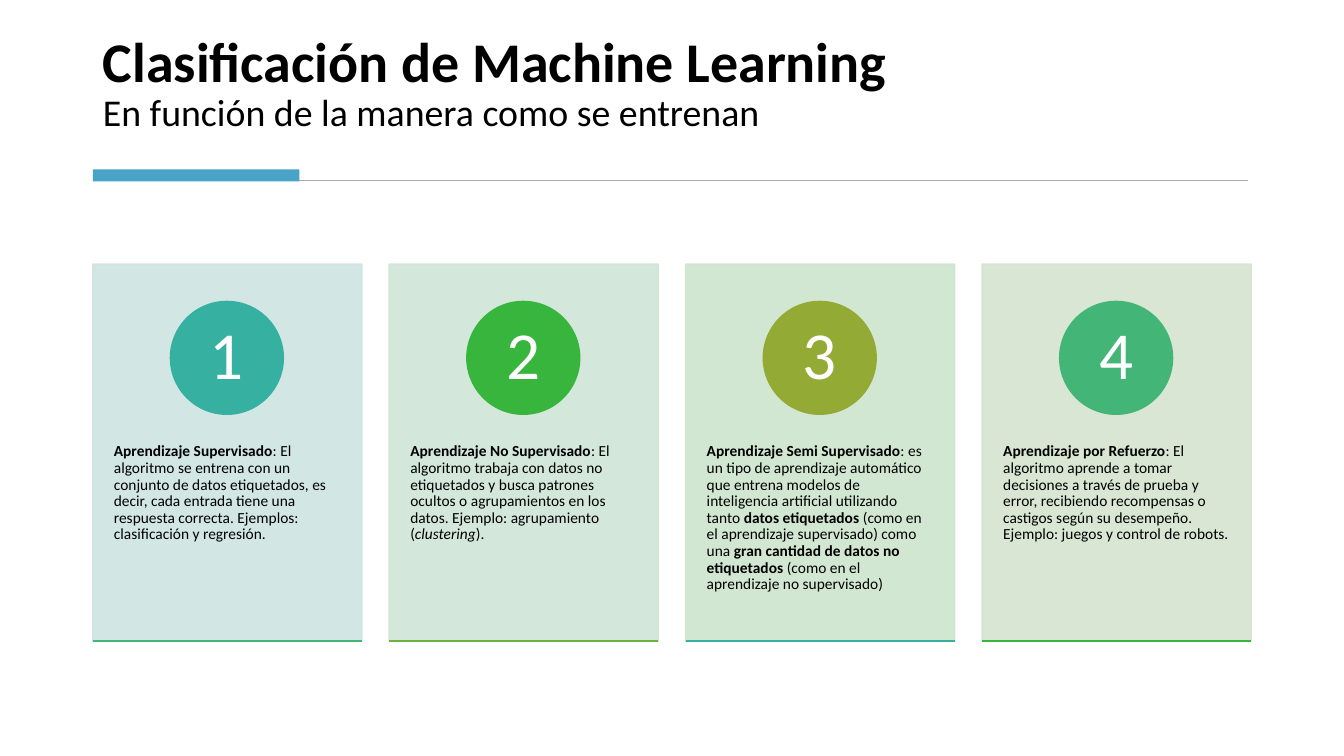
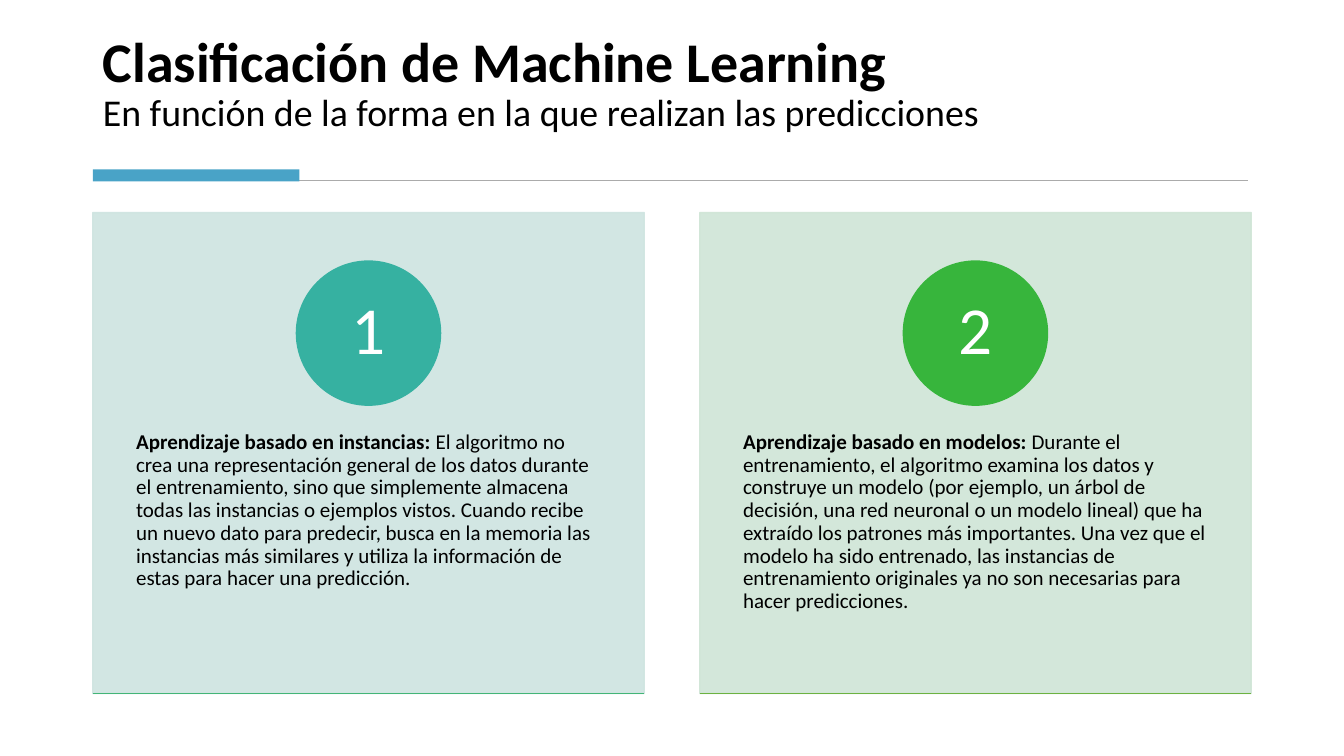
from lxml.etree import SubElement
from pptx import Presentation
from pptx.dml.color import RGBColor
from pptx.enum.shapes import MSO_CONNECTOR as Connector, MSO_SHAPE as Shape
from pptx.enum.text import MSO_ANCHOR as Anchor, MSO_AUTO_SIZE as AutoSize, PP_ALIGN as Align
from pptx.oxml.ns import qn
from pptx.util import Emu, Pt

EMU_PER_PX = 9144
SLIDE_WIDTH, SLIDE_HEIGHT = 1333, 750
FONT = "Calibri"
BLACK, WHITE = "000000", "FFFFFF"
ACCENT, RULE = "49A3C7", "ABABAB"
CARD_OPACITY = 90
LEFT, CONTENT_WIDTH = 92, 1149

# Panel, badge and baseline colours, by position of the card
CARD_COLORS = [
    ("CEE4E0", "36B1A1", "43B577"),
    ("CFE5D6", "37B53C", "6CB241"),
    ("CEE5CE", "93AB34", "36B1A1"),
    ("D4E4CF", "43B577", "37B53C"),
]

TITLE = "Clasificación de Machine Learning"

PAGES = [
    {
        "subtitle": "En función de la manera como se entrenan",
        "layout": {"top": 262, "width": 267, "height": 374, "size": 11},
        "cards": [
            [("Aprendizaje Supervisado", "b"),
             (": El algoritmo se entrena con un conjunto de datos etiquetados, es decir, "
              "cada entrada tiene una respuesta correcta. Ejemplos: clasificación y "
              "regresión.", "")],
            [("Aprendizaje No Supervisado", "b"),
             (": El algoritmo trabaja con datos no etiquetados y busca patrones ocultos o "
              "agrupamientos en los datos. Ejemplo: agrupamiento (", ""),
             ("clustering", "i"),
             (").", "")],
            [("Aprendizaje Semi Supervisado", "b"),
             (": es un tipo de aprendizaje automático que entrena modelos de inteligencia "
              "artificial utilizando tanto ", ""),
             ("datos etiquetados", "b"),
             (" (como en el aprendizaje supervisado) como una ", ""),
             ("gran cantidad de datos no etiquetados", "b"),
             (" (como en el aprendizaje no supervisado)", "")],
            [("Aprendizaje por Refuerzo", "b"),
             (": El algoritmo aprende a tomar decisiones a través de prueba y error, "
              "recibiendo recompensas o castigos según su desempeño. Ejemplo: juegos y "
              "control de robots.", "")],
        ],
    },
    {
        "subtitle": "En función de la forma en la que realizan las predicciones",
        "layout": {"top": 211, "width": 547, "height": 477, "size": 15},
        "cards": [
            [("Aprendizaje basado en instancias: ", "b"),
             ("El algoritmo no crea una representación general de los datos durante el "
              "entrenamiento, sino que simplemente almacena todas las instancias o ejemplos "
              "vistos. Cuando recibe un nuevo dato para predecir, busca en la memoria las "
              "instancias más similares y utiliza la información de estas para hacer una "
              "predicción.", "")],
            [("Aprendizaje basado en modelos: ", "b"),
             ("Durante el entrenamiento, el algoritmo examina los datos y construye un "
              "modelo (por ejemplo, un árbol de decisión, una red neuronal o un modelo "
              "lineal) que ha extraído los patrones más importantes. Una vez que el modelo "
              "ha sido entrenado, las instancias de entrenamiento originales ya no son "
              "necesarias para hacer predicciones.", "")],
        ],
    },
]


def px(length):
    return Emu(round(length) * EMU_PER_PX)


def rgb(color):
    return RGBColor.from_string(color)


def set_values(target, values):
    for name, value in values.items():
        setattr(target, name, value)


def set_frame(frame, anchor, side=0, edge=0):
    set_values(frame, {
        "word_wrap": True, "auto_size": AutoSize.NONE, "vertical_anchor": anchor,
        "margin_left": px(side), "margin_right": px(side),
        "margin_top": px(edge), "margin_bottom": px(edge),
    })


def add_span(para, text, size, color=BLACK, style=""):
    """Add a run; style may hold b for bold and i for italic."""
    span = para.add_run()
    span.text = text
    set_values(span.font, {
        "name": FONT, "size": Pt(size), "bold": "b" in style, "italic": "i" in style,
    })
    span.font.color.rgb = rgb(color)


def add_filled(page, kind, area, color, opacity=100):
    shape = page.shapes.add_shape(kind, *map(px, area))
    shape.shadow.inherit = False
    shape.fill.solid()
    shape.fill.fore_color.rgb = rgb(color)
    shape.line.color.rgb = rgb(color)
    shape.line.width = Pt(1)
    if opacity < 100:
        for node in list(shape._element.spPr.iter(qn("a:srgbClr"))):
            SubElement(node, qn("a:alpha"), val=str(opacity * 1000))
    return shape


def add_rule(page, left, top, width, color, weight):
    rule = page.shapes.add_connector(
        Connector.STRAIGHT, px(left), px(top), px(left + width), px(top))
    rule.line.color.rgb = rgb(color)
    rule.line.width = Pt(weight)
    SubElement(rule._element.spPr, qn("a:effectLst"))


def add_heading(page, subtitle):
    title = page.shapes.title
    set_values(title, {
        "left": px(LEFT), "top": px(28), "width": px(CONTENT_WIDTH), "height": px(111),
    })
    set_frame(title.text_frame, Anchor.BOTTOM, 10, 5)
    para = title.text_frame.paragraphs[0]
    set_values(para, {"alignment": Align.LEFT, "line_spacing": 0.9})
    add_span(para, TITLE, 40, style="b")
    para.add_line_break()
    SubElement(para._p.find(qn("a:br")), qn("a:rPr"), sz="4000")
    add_span(para, subtitle, 27)

    add_rule(page, 95, 179, 1143, RULE, 1.25)
    band = add_filled(page, Shape.RECTANGLE, (LEFT, 168, 205, 12), ACCENT)
    band.line.fill.background()


def add_badge(page, left, top, size, number, color):
    badge = add_filled(page, Shape.OVAL, (left, top, size, size), color)
    set_frame(badge.text_frame, Anchor.MIDDLE)
    para = badge.text_frame.paragraphs[0]
    set_values(para, {"alignment": Align.CENTER, "line_spacing": 0.9})
    add_span(para, str(number), 48, WHITE)


def add_card(page, left, number, spans, top, width, height, size):
    """Add a tinted panel with its text, numbered badge and baseline."""
    panel_color, badge_color, base_color = CARD_COLORS[number - 1]
    add_filled(page, Shape.RECTANGLE, (left, top, width, height), panel_color, CARD_OPACITY)

    box = page.shapes.add_textbox(
        px(left), px(top + 0.38 * height), px(width), px(0.6 * height))
    set_frame(box.text_frame, Anchor.TOP, 0.078 * width, 36)
    para = box.text_frame.paragraphs[0]
    set_values(para, {"alignment": Align.LEFT, "line_spacing": 0.9})
    for text, style in spans:
        add_span(para, text, size, style=style)

    diameter = 0.3 * height
    add_badge(page, left + (width - diameter) / 2, top + 0.1 * height, diameter,
              number, badge_color)
    add_rule(page, left, top + height, width, base_color, 1)


def add_cards(page, cards, layout):
    """Spread the cards evenly over the content width."""
    step = (CONTENT_WIDTH - layout["width"]) / (len(cards) - 1)
    for index, spans in enumerate(cards):
        add_card(page, LEFT + index * step, index + 1, spans, **layout)


def main():
    deck = Presentation()
    deck.slide_width, deck.slide_height = px(SLIDE_WIDTH), px(SLIDE_HEIGHT)
    title_only = deck.slide_layouts[5]
    for content in PAGES:
        page = deck.slides.add_slide(title_only)
        add_heading(page, content["subtitle"])
        add_cards(page, content["cards"], content["layout"])
    deck.save("out.pptx")


if __name__ == "__main__":
    main()
